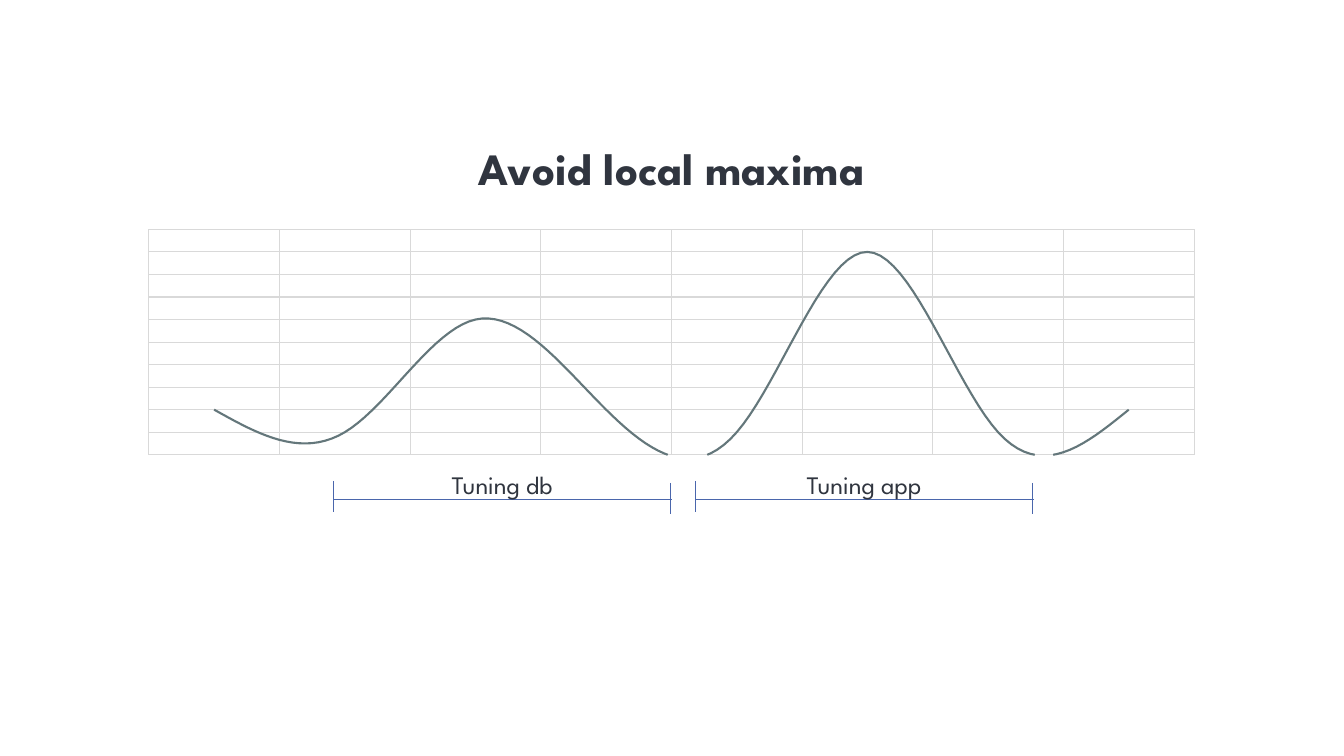
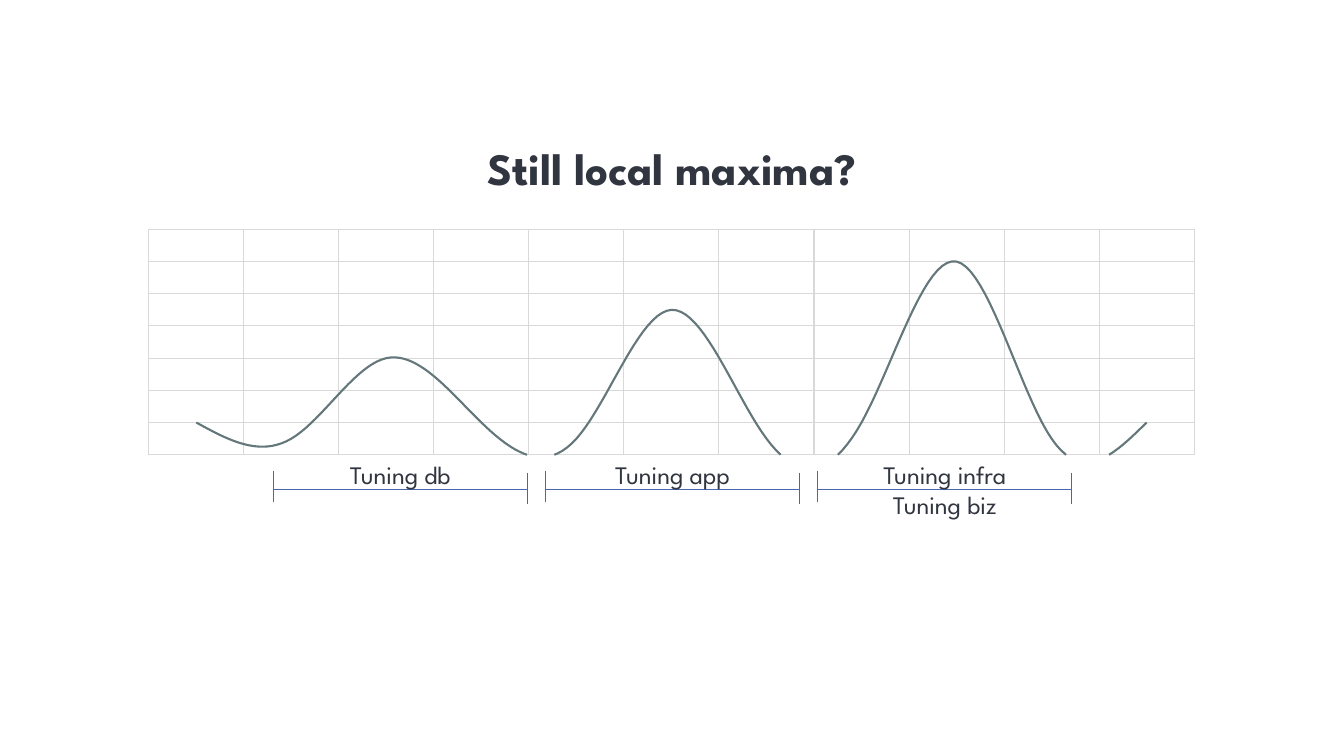
from dataclasses import dataclass

from lxml import etree
from pptx import Presentation
from pptx.chart.data import CategoryChartData as ChartData
from pptx.dml.color import RGBColor as Color
from pptx.enum.chart import XL_CHART_TYPE as ChartType, XL_MARKER_STYLE as Marker
from pptx.enum.shapes import MSO_CONNECTOR as Connector
from pptx.enum.text import MSO_AUTO_SIZE as AutoSize, PP_ALIGN as Align
from pptx.oxml import parse_xml
from pptx.oxml.ns import nsdecls, qn
from pptx.util import Inches, Pt


@dataclass(frozen=True)
class Theme:
    ink: Color = Color.from_string("30353F")
    curve: Color = Color.from_string("64777B")
    grid: Color = Color.from_string("D9D9D9")
    bracket: Color = Color.from_string("4A66AC")
    chart_ink: Color = Color.from_string("000000")
    text_font: str = "League Spartan"
    chart_font: str = "Roboto"
    title_size: Pt = Pt(32)
    label_size: Pt = Pt(18)
    chart_size: Pt = Pt(10)
    grid_width: Pt = Pt(0.75)
    curve_width: Pt = Pt(1.5)
    bracket_width: Pt = Pt(0.5)


@dataclass(frozen=True)
class Brackets:
    left: float
    top: float
    step: float
    span: float
    overhang: float
    label_width: float


THEME = Theme()
TICK = 0.31
TICK_DROP = 0.02
LABEL_HEIGHT = 0.3


def add_text(page, text, left, top, width, height, size, bold=False, wrap=True):
    box = page.shapes.add_textbox(Inches(left), Inches(top), Inches(width), Inches(height))
    frame = box.text_frame
    frame.word_wrap = wrap
    frame.auto_size = AutoSize.SHAPE_TO_FIT_TEXT
    frame.margin_left = frame.margin_right = frame.margin_top = frame.margin_bottom = 0
    para = frame.paragraphs[0]
    para.text = text
    para.alignment = Align.CENTER
    para.font.name = THEME.text_font
    para.font.size = size
    para.font.bold = bold
    para.font.color.rgb = THEME.ink


def add_title(page, text):
    add_text(page, text, 4.46, 1.4, 4.41, 0.54, THEME.title_size, bold=True, wrap=False)


def add_line(page, x1, y1, x2, y2):
    line = page.shapes.add_connector(
        Connector.STRAIGHT, Inches(x1), Inches(y1), Inches(x2), Inches(y2))
    line.line.color.rgb = THEME.bracket
    line.line.width = THEME.bracket_width
    etree.SubElement(line.element.spPr, qn("a:effectLst"))


def style_axis(axis):
    axis.visible = False
    axis.has_major_gridlines = True
    axis.major_gridlines.format.line.color.rgb = THEME.grid
    axis.major_gridlines.format.line.width = THEME.grid_width


def fill_frame(chart):
    plot_area = chart.plots[0]._element.getparent()
    for layout in plot_area.findall(qn("c:layout")):
        plot_area.remove(layout)
    plot_area.insert(0, parse_xml(
        f'<c:layout {nsdecls("c")}><c:manualLayout><c:layoutTarget val="inner"/>'
        '<c:xMode val="edge"/><c:yMode val="edge"/><c:x val="0.02"/><c:y val="0.02"/>'
        '<c:w val="0.96"/><c:h val="0.96"/></c:manualLayout></c:layout>'))


def add_curve(page, values):
    data = ChartData()
    data.categories = [str(number) for number in range(1, len(values) + 1)]
    data.add_series("Series 1", values)
    chart = page.shapes.add_chart(
        ChartType.LINE, Inches(1.26), Inches(2.23), Inches(10.8), Inches(2.33), data).chart
    chart.has_legend = False
    chart.has_title = False
    chart.font.name = THEME.chart_font
    chart.font.size = THEME.chart_size
    chart.font.color.rgb = THEME.chart_ink
    style_axis(chart.category_axis)
    style_axis(chart.value_axis)
    chart.value_axis.minimum_scale = 0
    chart.value_axis.maximum_scale = max(values) + 1
    chart.value_axis.major_unit = 1
    plot = chart.plots[0]
    plot.vary_by_categories = False
    series = plot.series[0]
    series.smooth = True
    series.marker.style = Marker.NONE
    series.format.line.color.rgb = THEME.curve
    series.format.line.width = THEME.curve_width
    fill_frame(chart)


def add_bracket(page, left, brackets, labels):
    top = brackets.top
    right = left + brackets.span
    bar = top + 0.18
    add_line(page, left, bar, right + brackets.overhang, bar)
    add_line(page, left, top, left, top + TICK)
    add_line(page, right, top + TICK_DROP, right, top + TICK_DROP + TICK)
    label_left = left + (brackets.span - brackets.label_width) / 2
    for row, label in enumerate(labels):
        add_text(page, label, label_left, top - 0.11 + row * 0.29,
                 brackets.label_width, LABEL_HEIGHT, THEME.label_size)


def add_page(deck, title, values, brackets, label_groups):
    page = deck.slides.add_slide(deck.slide_layouts[6])
    add_curve(page, values)
    add_title(page, title)
    for index, labels in enumerate(label_groups):
        add_bracket(page, brackets.left + index * brackets.step, brackets, labels)


def main():
    deck = Presentation()
    deck.slide_width = Inches(13.33)
    deck.slide_height = Inches(7.5)
    add_page(
        deck, "Avoid local maxima", [2, 1, 6, 2, 1, 9, 1, 2],
        Brackets(left=3.31, top=4.77, step=3.59, span=3.34, overhang=0.02, label_width=1.48),
        [["Tuning db"], ["Tuning app"]])
    add_page(
        deck, "Still local maxima?", [1, 0.5, 3, 1, 0.5, 4.5, 0.5, 1, 6, 0.5, 1],
        Brackets(left=2.71, top=4.67, step=2.7, span=2.52, overhang=0, label_width=2.32),
        [["Tuning db"], ["Tuning app"], ["Tuning infra", "Tuning biz"]])
    deck.save("out.pptx")


if __name__ == "__main__":
    main()
